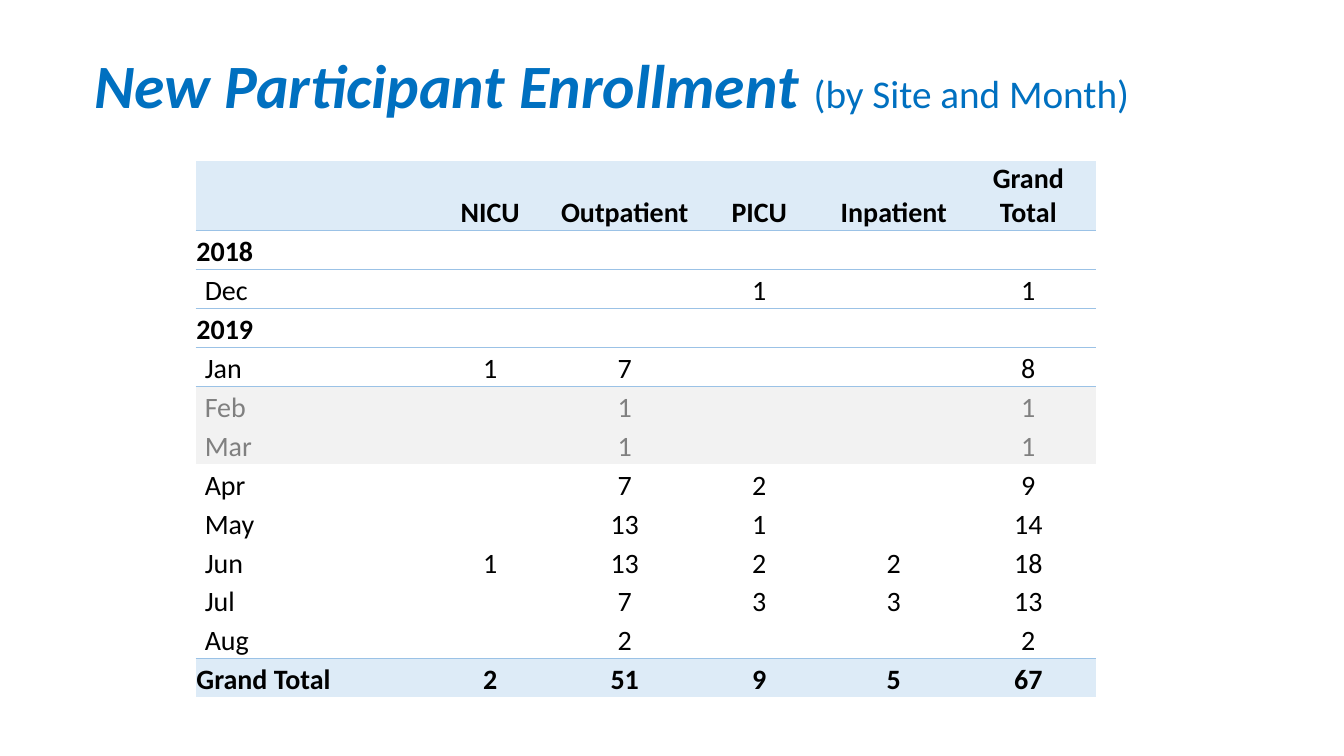
from lxml import etree
from pptx import Presentation
from pptx import util as u
from pptx.dml.color import RGBColor
from pptx.enum import text
from pptx.oxml import ns

TITLE_BLUE = RGBColor(0x00, 0x70, 0xC0)
BAND_BLUE = RGBColor(0xDD, 0xEB, 0xF7)
RULE_BLUE = RGBColor(0x9B, 0xC2, 0xE6)
PALE_GREY = RGBColor(0xF2, 0xF2, 0xF2)
TEXT_GREY = RGBColor(0x80, 0x80, 0x80)
BLACK = RGBColor(0x00, 0x00, 0x00)
FONT = "Calibri"
NO_GRID_STYLE = "{2D5ABB26-0587-4C30-8999-92F81FD0307C}"

ENROLLMENT = [
    ("", "NICU", "Outpatient", "PICU", "Inpatient", "Grand Total"),
    ("2018", "", "", "", "", ""),
    ("Dec", "", "", "1", "", "1"),
    ("2019", "", "", "", "", ""),
    ("Jan", "1", "7", "", "", "8"),
    ("Feb", "", "1", "", "", "1"),
    ("Mar", "", "1", "", "", "1"),
    ("Apr", "", "7", "2", "", "9"),
    ("May", "", "13", "1", "", "14"),
    ("Jun", "1", "13", "2", "2", "18"),
    ("Jul", "", "7", "3", "3", "13"),
    ("Aug", "", "2", "", "", "2"),
    ("Grand Total", "2", "51", "9", "5", "67"),
]
BAND_ROWS = (0, 12)
YEAR_ROWS = (1, 3)
MUTED_ROWS = (5, 6)
RULED_ROWS = (0, 1, 3, 11)


def add_title(slide, parts):
    """Add the title from (wording, size, emphasis) parts."""
    box = slide.shapes.add_textbox(u.Cm(2.13), u.Cm(0.38), u.Cm(29.21), u.Cm(3.68))
    frame = box.text_frame
    frame.word_wrap = True
    frame.vertical_anchor = text.MSO_ANCHOR.MIDDLE
    paragraph = frame.paragraphs[0]
    paragraph.line_spacing = 0.9
    for wording, size, emphasis in parts:
        run = paragraph.add_run()
        run.text = wording
        run.font.name = FONT
        run.font.size = u.Pt(size)
        run.font.bold = run.font.italic = emphasis
        run.font.color.rgb = TITLE_BLUE


def add_rule(cell, position, side):
    """Add a thin border to one side of a cell, ahead of its fill."""
    line = etree.Element(ns.qn(f"a:{side}"), w=str(u.Pt(0.5)))
    fill = etree.SubElement(line, ns.qn("a:solidFill"))
    etree.SubElement(fill, ns.qn("a:srgbClr"), val=str(RULE_BLUE))
    cell._tc.get_or_add_tcPr().insert(position, line)


def fill_cell(cell, wording, row, column):
    """Write and style one cell according to its row and column."""
    is_month = row not in BAND_ROWS + YEAR_ROWS
    cell.vertical_anchor = text.MSO_ANCHOR.BOTTOM
    cell.margin_left = u.Cm(0.23 if is_month and column == 0 else 0.02)
    cell.margin_right = cell.margin_top = u.Cm(0.02)
    cell.margin_bottom = 0
    cell.text = wording
    paragraph = cell.text_frame.paragraphs[0]
    paragraph.alignment = text.PP_ALIGN.CENTER if column else text.PP_ALIGN.LEFT
    paragraph.font.name = FONT
    paragraph.font.size = u.Pt(20)
    paragraph.font.bold = not is_month
    paragraph.font.color.rgb = TEXT_GREY if row in MUTED_ROWS else BLACK
    if row in BAND_ROWS + MUTED_ROWS:
        cell.fill.solid()
        cell.fill.fore_color.rgb = BAND_BLUE if row in BAND_ROWS else PALE_GREY
    else:
        cell.fill.background()
    if row in RULED_ROWS:
        add_rule(cell, 0, "lnB")
    if row - 1 in RULED_ROWS:
        add_rule(cell, 0, "lnT")


def add_enrollment_table(slide):
    """Add the table of enrollment by site and month."""
    frame = slide.shapes.add_table(
        len(ENROLLMENT), len(ENROLLMENT[0]), u.Cm(4.93), u.Cm(4.06), u.Cm(22.68), u.Cm(13.54)
    )
    table = frame.table
    table.first_row = table.horz_banding = False
    table._tbl.tblPr.find(ns.qn("a:tableStyleId")).text = NO_GRID_STYLE
    for index, column in enumerate(table.columns):
        column.width = u.Cm(3.39 if index else 5.73)
    for index, row in enumerate(table.rows):
        row.height = u.Cm(0.98 if index else 1.75)
        for position, wording in enumerate(ENROLLMENT[index]):
            fill_cell(table.cell(index, position), wording, index, position)


def main():
    """Build and save the enrollment slide."""
    presentation = Presentation()
    presentation.slide_width = u.Cm(33.87)
    presentation.slide_height = u.Cm(19.05)
    slide = presentation.slides.add_slide(presentation.slide_layouts[6])
    add_enrollment_table(slide)
    add_title(slide, [
        ("New Participant Enrollment ", 44, True),
        ("(by Site and Month)", 28, False),
    ])
    presentation.save("out.pptx")


if __name__ == "__main__":
    main()
